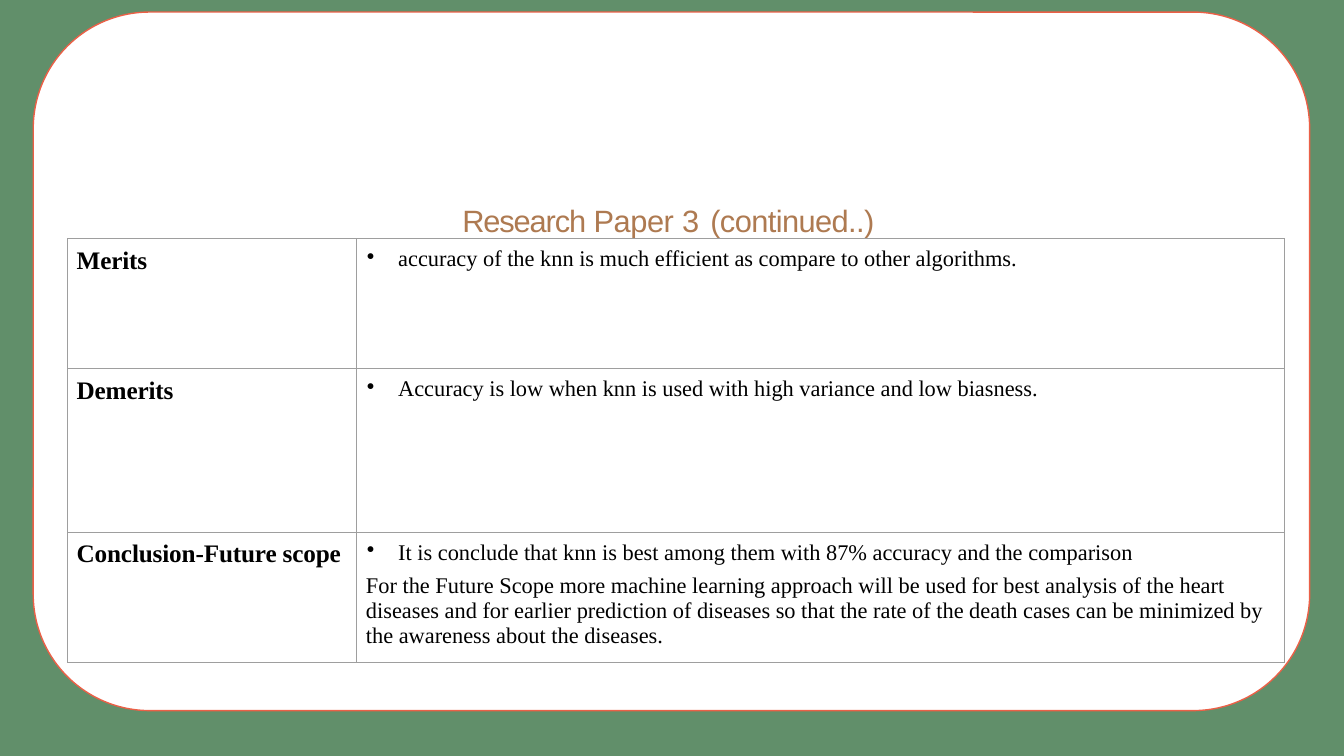
from dataclasses import dataclass

import pptx
import pptx.dml.color
import pptx.enum.shapes
import pptx.enum.text
import pptx.oxml
import pptx.oxml.ns
import pptx.util
from pptx.util import Inches, Pt


def rgb(value):
    return pptx.dml.color.RGBColor.from_string(value)


@dataclass(frozen=True)
class Theme:
    background: str = "618F6A"
    panel: str = "FFFFFF"
    panel_line: str = "EB6047"
    heading: str = "AE7A51"
    text: str = "000000"
    grid: str = "9E9E9E"
    heading_font: str = "Arial"
    body_font: str = "Times New Roman"
    heading_size: int = 22
    label_size: int = 18
    body_size: int = 16


THEME = Theme()
TITLE_ONLY = 5

# Each piece of the heading with its letter spacing in points
HEADING = [("Research ", -0.8), ("Paper ", -0.3), ("3 ", 0.9), ("(continued..)", -0.4)]

# Label, row height, bullet, further paragraphs
FINDINGS = [
    ("Merits", 1.29,
     "accuracy of the knn is much efficient as compare to other algorithms.", []),
    ("Demerits", 1.62,
     "Accuracy is low when knn is used with high variance and low biasness.", []),
    ("Conclusion-Future scope", 1.29,
     "It is conclude that knn is best among them with 87% accuracy and the comparison",
     ["For the Future Scope more machine learning approach will be used for best "
      "analysis of the heart diseases and for earlier prediction of diseases so that "
      "the rate of the death cases can be minimized by the awareness about the diseases."]),
]


def style_font(font, name, size, color, bold=False):
    font.name, font.size, font.bold = name, Pt(size), bold
    font.color.rgb = rgb(color)


def add_spaced_run(paragraph, text, spacing):
    """Add a run with letter spacing in points."""
    run = paragraph.add_run()
    run.text = text
    run.font._element.set("spc", str(round(spacing * 100)))


def indent(paragraph, left, first=0):
    properties = paragraph._p.get_or_add_pPr()
    properties.set("marL", str(Inches(left)))
    properties.set("indent", str(Inches(first)))
    return properties


def add_panel(slide, left, top, width, height):
    panel = slide.shapes.add_shape(
        pptx.enum.shapes.MSO_SHAPE.ROUNDED_RECTANGLE,
        Inches(left), Inches(top), Inches(width), Inches(height))
    panel.shadow.inherit = False
    panel.fill.solid()
    panel.fill.fore_color.rgb = rgb(THEME.panel)
    panel.line.color.rgb = rgb(THEME.panel_line)
    panel.line.width = Pt(1)
    # The title placeholder already exists, so the panel goes behind it
    slide.shapes._spTree.insert(2, panel._element)


def add_heading(slide, left, top, width, height):
    heading = slide.shapes.title
    heading.left, heading.top = Inches(left), Inches(top)
    heading.width, heading.height = Inches(width), Inches(height)
    frame = heading.text_frame
    frame.word_wrap = True
    frame.auto_size = pptx.enum.text.MSO_AUTO_SIZE.NONE
    frame.vertical_anchor = pptx.enum.text.MSO_ANCHOR.BOTTOM
    frame.margin_left = frame.margin_right = frame.margin_bottom = 0
    frame.margin_top = Inches(0.01)
    paragraph = frame.paragraphs[0]
    paragraph.alignment = pptx.enum.text.PP_ALIGN.CENTER
    for text, spacing in HEADING:
        add_spaced_run(paragraph, text, spacing)
    style_font(paragraph.font, THEME.heading_font, THEME.heading_size, THEME.heading)


def style_cell(cell):
    cell.margin_left = cell.margin_right = cell.margin_bottom = 0
    cell.margin_top = Inches(0.08)
    properties = cell._tc.get_or_add_tcPr()
    for side in ("lnL", "lnR", "lnT", "lnB"):
        properties.append(pptx.oxml.parse_xml(
            f'<a:{side} {pptx.oxml.ns.nsdecls("a")} w="{Pt(0.75)}"><a:solidFill>'
            f'<a:srgbClr val="{THEME.grid}"/></a:solidFill></a:{side}>'))
    cell.fill.solid()
    cell.fill.fore_color.rgb = rgb(THEME.panel)


def fill_label(cell, label):
    paragraph = cell.text_frame.paragraphs[0]
    add_spaced_run(paragraph, label, -0.1)
    indent(paragraph, 0.09)
    style_font(paragraph.font, THEME.body_font, THEME.label_size, THEME.text, bold=True)


def fill_details(cell, bullet, further):
    frame = cell.text_frame
    point = frame.paragraphs[0]
    point.text = bullet
    indent(point, 0.41, -0.31).append(pptx.oxml.parse_xml(
        f'<a:buChar {pptx.oxml.ns.nsdecls("a")} char="•"/>'))
    for text in further:
        remark = frame.add_paragraph()
        remark.text = text
        remark.space_before = Pt(6.1)
        indent(remark, 0.09)
    for paragraph in frame.paragraphs:
        style_font(paragraph.font, THEME.body_font, THEME.body_size, THEME.text)


def add_findings(slide, left, top, width, label_width):
    height = sum(finding[1] for finding in FINDINGS)
    table = slide.shapes.add_table(
        len(FINDINGS), 2, Inches(left), Inches(top), Inches(width), Inches(height)).table
    table.first_row = table.horz_banding = False
    table.columns[0].width = Inches(label_width)
    table.columns[1].width = Inches(width - label_width)
    for row, (label, row_height, bullet, further) in zip(table.rows, FINDINGS):
        row.height = Inches(row_height)
        for cell in row.cells:
            style_cell(cell)
        fill_label(row.cells[0], label)
        fill_details(row.cells[1], bullet, further)


def build_paper_slide(deck):
    slide = deck.slides.add_slide(deck.slide_layouts[TITLE_ONLY])
    slide.background.fill.solid()
    slide.background.fill.fore_color.rgb = rgb(THEME.background)
    add_panel(slide, 0.33, 0.12, 12.66, 6.93)
    add_heading(slide, 3.95, 1.99, 5.36, 0.38)
    add_findings(slide, 0.67, 2.37, 12.07, label_width=2.87)


def main():
    deck = pptx.Presentation()
    deck.slide_width, deck.slide_height = Inches(13.33), Inches(7.5)
    build_paper_slide(deck)
    deck.save("out.pptx")


if __name__ == "__main__":
    main()
